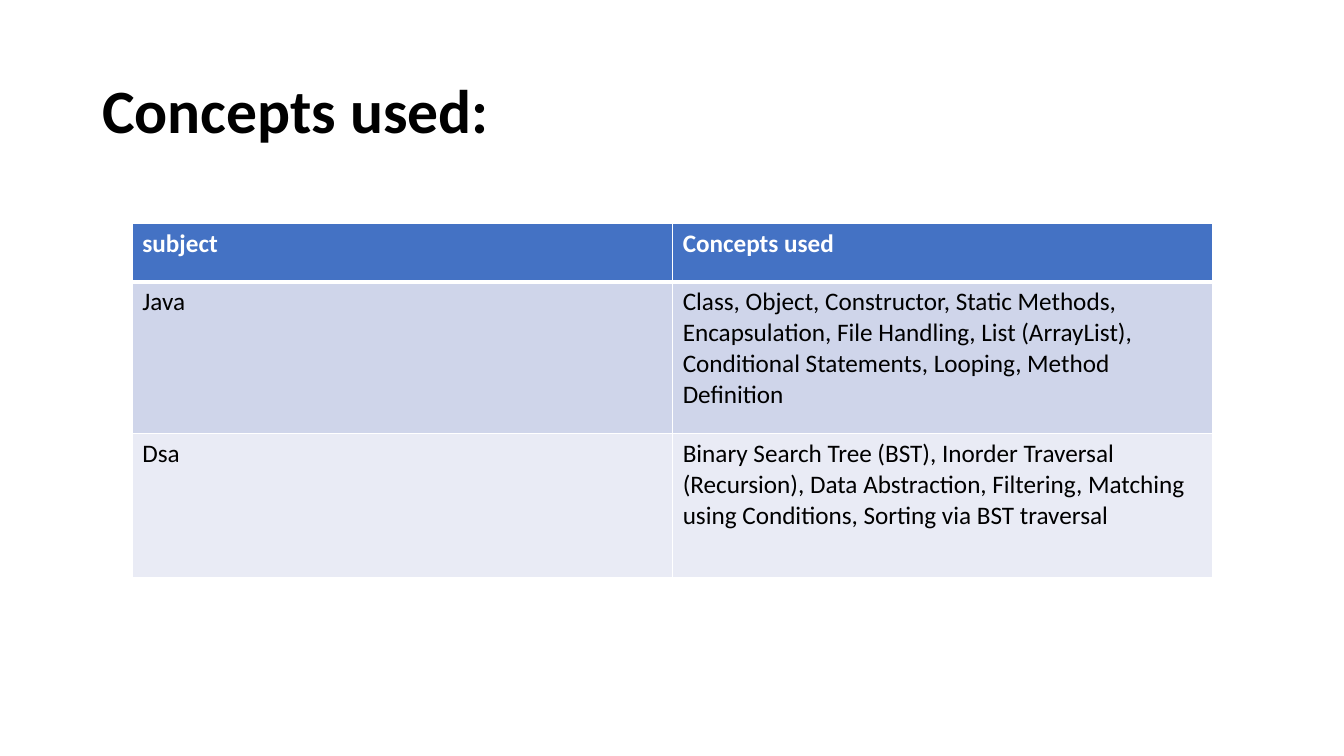
from lxml.etree import SubElement
from pptx import Presentation
from pptx.dml.color import RGBColor
from pptx.enum.text import MSO_ANCHOR as Anchor
from pptx.oxml.ns import qn
from pptx.util import Pt

BLACK = RGBColor(0x00, 0x00, 0x00)
WHITE = RGBColor(0xFF, 0xFF, 0xFF)
BLUE = RGBColor(0x44, 0x72, 0xC4)
MID_BLUE = RGBColor(0xCF, 0xD5, 0xEA)
PALE_BLUE = RGBColor(0xE9, 0xEB, 0xF5)

ROWS = [
    (42, BLUE, ["subject", "Concepts used"]),
    (108.6, MID_BLUE, [
        "Java",
        "Class, Object, Constructor, Static Methods, Encapsulation, "
        "File Handling, List (ArrayList), Conditional Statements, "
        "Looping, Method Definition"]),
    (103, PALE_BLUE, [
        "Dsa",
        "Binary Search Tree (BST), Inorder Traversal (Recursion), "
        "Data Abstraction, Filtering, Matching using Conditions, "
        "Sorting via BST traversal"]),
]


def write(frame, text, size=18, color=BLACK, bold=False, spacing=1.0):
    frame.word_wrap = True
    para = frame.paragraphs[0]
    para.line_spacing = spacing
    span = para.add_run()
    span.text = text
    span.font.name = "Calibri"
    span.font.size = Pt(size)
    span.font.bold = bold
    span.font.color.rgb = color


def add_border(cell, side, width):
    properties = cell._tc.get_or_add_tcPr()
    line = SubElement(properties, qn(f"a:ln{side}"), w=str(Pt(width)))
    fill = SubElement(line, qn("a:solidFill"))
    SubElement(fill, qn("a:srgbClr"), val=str(WHITE))


deck = Presentation()
deck.slide_width, deck.slide_height = Pt(960), Pt(540)
page = deck.slides.add_slide(deck.slide_layouts[6])

title = page.shapes.add_textbox(Pt(66), Pt(28.8), Pt(828), Pt(104.4))
title.text_frame.vertical_anchor = Anchor.MIDDLE
write(title.text_frame, "Concepts used:", size=44, bold=True, spacing=0.9)

table_height = sum(height for height, _, _ in ROWS)
table = page.shapes.add_table(
    len(ROWS), 2, Pt(94.5), Pt(159.3), Pt(772), Pt(table_height)).table

for row, (height, color, texts) in enumerate(ROWS):
    table.rows[row].height = Pt(height)
    is_header = row == 0
    for column, text in enumerate(texts):
        cell = table.cell(row, column)
        for side in "LRTB":
            below_header = (row, side) in [(0, "B"), (1, "T")]
            add_border(cell, side, 3 if below_header else 1)
        cell.fill.solid()
        cell.fill.fore_color.rgb = color
        write(cell.text_frame, text, bold=is_header,
              color=WHITE if is_header else BLACK)

deck.save("out.pptx")
